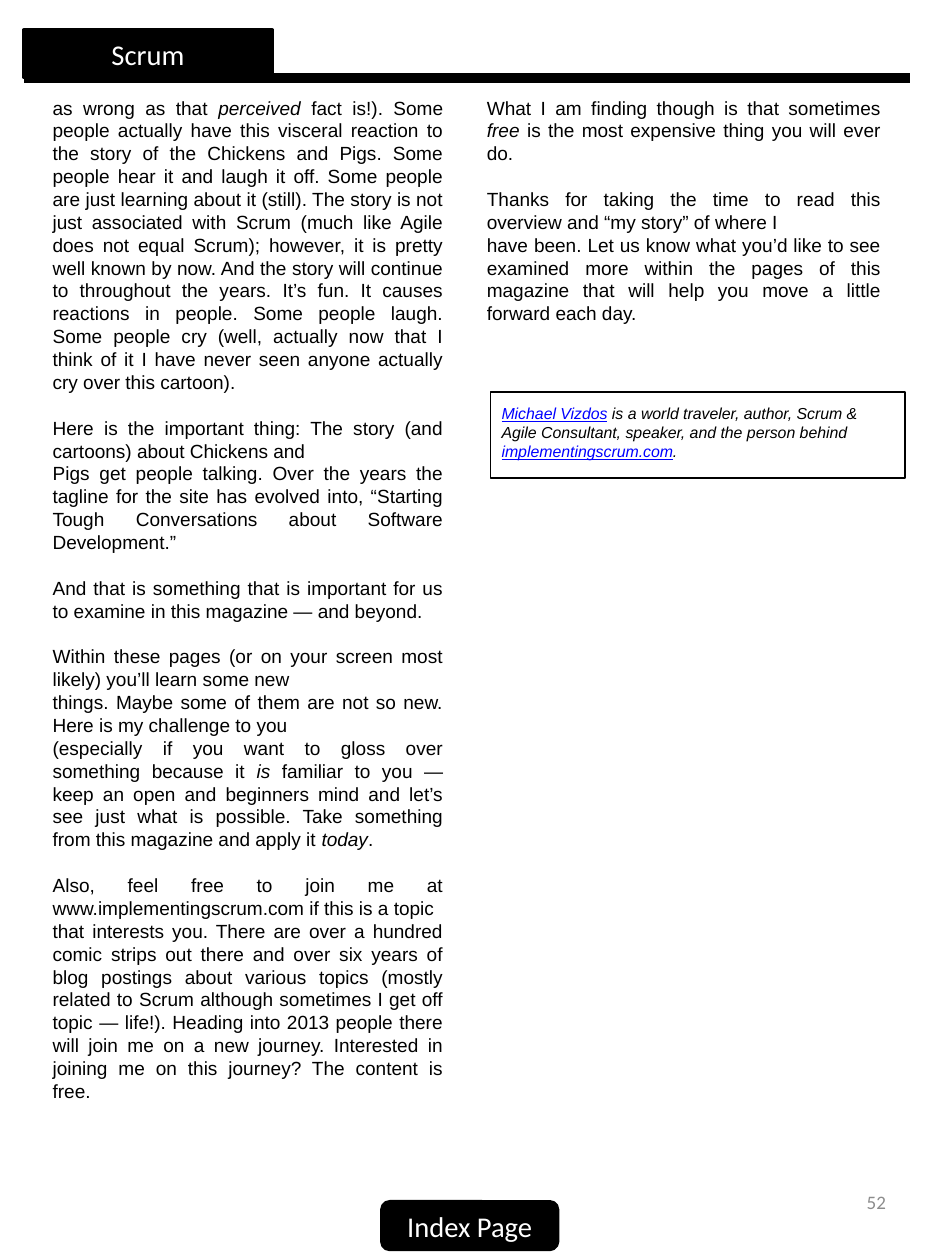
from dataclasses import dataclass

from lxml import etree
from pptx import Presentation
from pptx import util as u
from pptx.dml.color import RGBColor
from pptx.enum import shapes, text
from pptx.oxml.ns import qn

WIDTH, HEIGHT = u.Inches(8.26), u.Inches(11.02)
BLACK, WHITE, BLUE, GREY = "000000", "FFFFFF", "0000FF", "8C8C8C"
LEADING = 1.2
ALIGN, ANCHOR = text.PP_ALIGN, text.MSO_ANCHOR


@dataclass
class Box:
    """Position and size in percent of the slide."""
    x: float
    y: float
    w: float
    h: float

    def emu(self) -> tuple[int, int, int, int]:
        return px(self.x), py(self.y), px(self.w), py(self.h)


@dataclass
class Column:
    box: Box
    blocks: list[list[str]]  # blocks are set apart; *marks* give italics


@dataclass
class Label:
    text: str
    box: Box


TAB = Label("Scrum", Box(2.54, 2.36, 26.27, 3.81))
INDEX = Label("Index Page", Box(40.44, 95.37, 18.64, 3.81))
PAGE = Label("52", Box(71.67, 92.74, 23.37, 5.35))
BIO = Label("*Michael Vizdos* is a world traveler, author, Scrum & Agile Consultant, speaker, "
            "and the person behind *implementingscrum.com*.", Box(51.94, 31.13, 43.95, 6.81))

LEFT = Column(Box(5.57, 7.62, 41.4, 82.4), [
    ["as wrong as that *perceived *fact is!). Some people actually have this visceral reaction "
     "to the story of the Chickens and Pigs. Some people hear it and laugh it off. Some people "
     "are just learning about it (still). The story is not just associated with Scrum (much "
     "like Agile does not equal Scrum); however, it is pretty well known by now. And the story "
     "will continue to throughout the years. It’s fun. It causes reactions in people. Some "
     "people laugh. Some people cry (well, actually now that I think of it I have never seen "
     "anyone actually cry over this cartoon)."],
    ["Here is the important thing: The story (and cartoons) about Chickens and",
     "Pigs get people talking. Over the years the tagline for the site has evolved into, "
     "“Starting Tough Conversations about Software Development.”"],
    ["And that is something that is important for us to examine in this magazine — and beyond."],
    ["Within these pages (or on your screen most likely) you’ll learn some new",
     "things. Maybe some of them are not so new. Here is my challenge to you",
     "(especially if you want to gloss over something because it *is *familiar to you — keep an "
     "open and beginners mind and let’s see just what is possible. Take something from this "
     "magazine and apply it *today*."],
    ["Also, feel free to join me at www.implementingscrum.com if this is a topic",
     "that interests you. There are over a hundred comic strips out there and over six years "
     "of blog postings about various topics (mostly related to Scrum although sometimes I get "
     "off topic — life!). Heading into 2013 people there will join me on a new journey. "
     "Interested in joining me on this journey? The content is free."],
])
RIGHT = Column(Box(51.57, 7.62, 41.77, 82.4), [
    ["What I am finding though is that sometimes *free *is the most expensive thing you will "
     "ever do."],
    ["Thanks for taking the time to read this overview and “my story” of where I",
     "have been. Let us know what you’d like to see examined more within the pages of this "
     "magazine that will help you move a little forward each day."],
])


def px(share: float) -> int:
    return round(WIDTH * share / 100)


def py(share: float) -> int:
    return round(HEIGHT * share / 100)


def rgb(color: str) -> RGBColor:
    return RGBColor.from_string(color)


def place(sp, box: Box) -> None:
    sp.left, sp.top, sp.width, sp.height = box.emu()


def set_frame(sp, inset: float, anchor) -> None:
    tf = sp.text_frame
    tf.word_wrap, tf.auto_size = True, text.MSO_AUTO_SIZE.NONE
    tf.vertical_anchor = anchor
    tf.margin_left = tf.margin_right = tf.margin_top = tf.margin_bottom = u.Inches(inset)


def set_font(font, size: float, name: str, color: str) -> None:
    font.size, font.name, font.color.rgb = u.Pt(size), name, rgb(color)


def add_marked_runs(p, marked: str, size: float) -> list:
    """Add runs in Arial and return those that stood between asterisks."""
    p.line_spacing = u.Pt(size * LEADING)
    special = []
    for i, part in enumerate(marked.split("*")):
        if part:
            r = p.add_run()
            r.text = part
            set_font(r.font, size, "Arial", BLACK)
            if i % 2:
                special.append(r)
    return special


def fill_column(sp, column: Column, size: float = 12) -> None:
    place(sp, column.box)
    set_frame(sp, 0, ANCHOR.TOP)
    tf = sp.text_frame
    for b, block in enumerate(column.blocks):
        for n, line in enumerate(block):
            p = tf.add_paragraph() if b or n else tf.paragraphs[0]
            p.alignment = ALIGN.JUSTIFY
            p.space_before = u.Pt(size * LEADING if b and not n else 0)
            pPr = p._p.get_or_add_pPr()
            pPr.set("marL", "0")
            pPr.set("indent", "0")
            etree.SubElement(pPr, qn("a:buNone"))
            for r in add_marked_runs(p, line, size):
                r.font.italic = True


def set_label(sp, label: Label, size: float, color: str, align) -> None:
    set_frame(sp, 0.05, ANCHOR.MIDDLE)
    tf = sp.text_frame
    tf.margin_left = tf.margin_right = u.Inches(0.1)
    tf.text = label.text
    p = tf.paragraphs[0]
    p.alignment = align
    set_font(p.runs[0].font, size, "Calibri", color)


def style_button(sp, label: Label) -> None:
    sp.fill.solid()
    sp.fill.fore_color.rgb = sp.line.color.rgb = rgb(BLACK)
    sp.line.width = u.Pt(2)
    set_label(sp, label, 18, WHITE, ALIGN.CENTER)


def add_box(s, kind, box: Box):
    sp = s.shapes.add_shape(kind, *box.emu())
    sp.shadow.inherit = False
    return sp


def main() -> None:
    prs = Presentation()
    prs.slide_width, prs.slide_height = WIDTH, HEIGHT
    s = prs.slides.add_slide(prs.slide_layouts[3])

    # Article columns
    fill_column(s.placeholders[1], LEFT)
    fill_column(s.placeholders[2], RIGHT)

    # Title tab with rounded corners, and the rule under it
    title = s.shapes.title
    place(title, TAB.box)
    etree.SubElement(title._element.spPr, qn("a:prstGeom"), prst="roundRect")
    style_button(title, TAB)
    rule_y = py(TAB.box.y + TAB.box.h)
    rule = s.shapes.add_connector(shapes.MSO_CONNECTOR.STRAIGHT,
                                  px(TAB.box.x), rule_y, px(96.37), rule_y)
    rule.line.color.rgb, rule.line.width = rgb(BLACK), u.Pt(6)
    etree.SubElement(rule._element.spPr, qn("a:effectLst"))

    # About the author
    bio = add_box(s, shapes.MSO_SHAPE.RECTANGLE, BIO.box)
    bio.fill.background()
    bio.line.color.rgb, bio.line.width = rgb(BLACK), u.Pt(1)
    set_frame(bio, 0.1, ANCHOR.TOP)
    p = bio.text_frame.paragraphs[0]
    p.alignment = ALIGN.LEFT
    for r in add_marked_runs(p, BIO.text, 10):
        r.font.underline, r.font.color.rgb = True, rgb(BLUE)
    for r in p.runs:
        r.font.italic = True

    # Page number and index button
    set_label(s.shapes.add_textbox(*PAGE.box.emu()), PAGE, 12, GREY, ALIGN.RIGHT)
    style_button(add_box(s, shapes.MSO_SHAPE.ROUNDED_RECTANGLE, INDEX.box), INDEX)

    prs.save("out.pptx")


if __name__ == "__main__":
    main()
